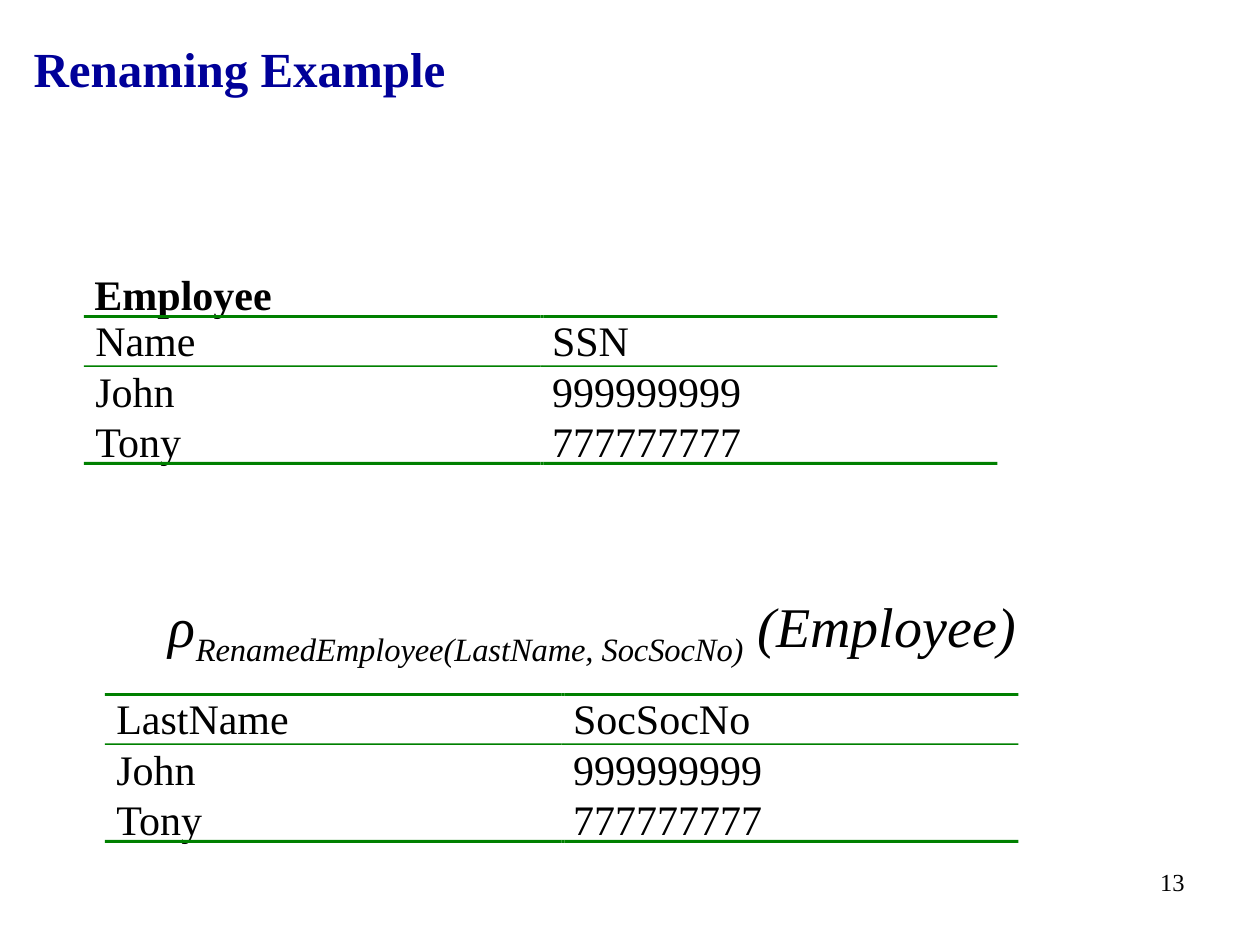
from pptx import Presentation
from pptx import util as u
from pptx.dml.color import RGBColor
from pptx.enum import shapes
from pptx.enum import text as t
from pptx.oxml import parse_xml
from pptx.oxml.ns import nsdecls

NAVY = RGBColor(0x00, 0x00, 0x99)
BLACK = RGBColor(0x00, 0x00, 0x00)
GREEN = RGBColor(0x00, 0x80, 0x00)
FONT = "Times New Roman"

# The page is a grid of 60 columns by 45 rows, each unit a sixth of an inch.
COLUMNS, ROWS = 60, 45
UNIT = u.Inches(10) // COLUMNS
HEAVY, LIGHT = 0.14, 0.07


def grid(*units):
    return [u.Emu(round(n * UNIT)) for n in units]


def add_span(para, text, size=24, color=BLACK, bold=False, italic=False, baseline=0):
    """Append formatted text to a paragraph."""
    span = para.add_run()
    span.text = text
    font = span.font
    font.name, font.size, font.color.rgb = FONT, u.Pt(size), color
    font.bold, font.italic = bold, italic
    if baseline:
        span._r.get_or_add_rPr().set("baseline", str(baseline * 1000))


def add_box(page, box, wrap=True, inset=(0.1, 0.05)):
    """Add an empty text box and return its frame."""
    frame = page.shapes.add_textbox(*grid(*box)).text_frame
    frame.word_wrap = wrap
    frame.margin_left = frame.margin_right = u.Inches(inset[0])
    frame.margin_top = frame.margin_bottom = u.Inches(inset[1])
    return frame


def add_title(page, box, text):
    title = page.shapes.title
    title.left, title.top, title.width, title.height = grid(*box)
    frame = title.text_frame
    frame.vertical_anchor = t.MSO_ANCHOR.MIDDLE
    frame.auto_size = t.MSO_AUTO_SIZE.NONE
    para = frame.paragraphs[0]
    para.alignment = t.PP_ALIGN.LEFT
    add_span(para, text, size=28, color=NAVY, bold=True)


def add_rule(page, left, top, width, weight):
    """Draw a rule in three bars: first column, joint and second column."""
    half = width / 2
    bars = ((left, half), (left + half, weight), (left + half + weight, half - weight))
    for start, length in bars:
        bar = page.shapes.add_shape(shapes.MSO_SHAPE.RECTANGLE,
                                    *grid(start, top, length, weight))
        bar.shadow.inherit = False
        bar.fill.solid()
        bar.fill.fore_color.rgb = GREEN
        bar.line.fill.background()


def clear_cell(cell):
    """Remove a cell's borders and fill."""
    for side in "LRTB":
        cell._tc.get_or_add_tcPr().append(parse_xml(
            f'<a:ln{side} {nsdecls("a")} w="0"><a:noFill/></a:ln{side}>'))
    cell.fill.background()


def add_relation(page, box, records, caption=None):
    """Place a relation: optional caption, header, records and rules."""
    left, top, width, height = box
    if caption:
        frame = add_box(page, (left + 0.5, top - 2.2, 8.5, 2.4), wrap=False, inset=(0, 0))
        add_span(frame.paragraphs[0], caption, bold=True)

    # Cells start just below the top rule
    table = page.shapes.add_table(len(records), len(records[0]),
                                  *grid(left, top + 0.2, width, height - 0.1)).table
    table.first_row = table.horz_banding = False
    for i, record in enumerate(records):
        for j, value in enumerate(record):
            cell = table.cell(i, j)
            cell.margin_left, cell.margin_right = u.Inches(0.09), 0
            cell.margin_top = cell.margin_bottom = 0
            add_span(cell.text_frame.paragraphs[0], value)
            clear_cell(cell)

    for offset, weight in ((0, HEAVY), (2.4, LIGHT), (height, HEAVY)):
        add_rule(page, left, top + offset, width, weight)


def add_expression(page, box, operator, subscript, operand):
    """Place the renaming expression on the bottom line of its box."""
    frame = add_box(page, box)
    frame.margin_left = u.Inches(1.09)
    frame.vertical_anchor = t.MSO_ANCHOR.BOTTOM
    para = frame.paragraphs[0]
    for text, baseline in ((operator, 0), (subscript, -25), (operand, 0)):
        add_span(para, text, size=32, italic=True, baseline=baseline)


def add_page_number(page, box, number):
    para = add_box(page, box).paragraphs[0]
    para.alignment = t.PP_ALIGN.RIGHT
    add_span(para, number, size=14)


def main():
    deck = Presentation()
    deck.slide_width, deck.slide_height = grid(COLUMNS, ROWS)
    page = deck.slides.add_slide(deck.slide_layouts.get_by_name("Title Only"))
    people = [("John", "999999999"), ("Tony", "777777777")]

    add_title(page, (1, 1, 57, 4.5), "Renaming Example")
    # Relation before renaming
    add_relation(page, (4, 15, 43.5, 7), [("Name", "SSN")] + people, caption="Employee")
    # Renaming and its result
    add_expression(page, (1.5, 23, 53, 9.1),
                   "ρ", "RenamedEmployee(LastName, SocSocNo)", " (Employee)")
    add_relation(page, (5, 33, 43.5, 7), [("LastName", "SocSocNo")] + people)
    add_page_number(page, (44.5, 41, 12.5, 3), "13")

    deck.save("out.pptx")


if __name__ == "__main__":
    main()
